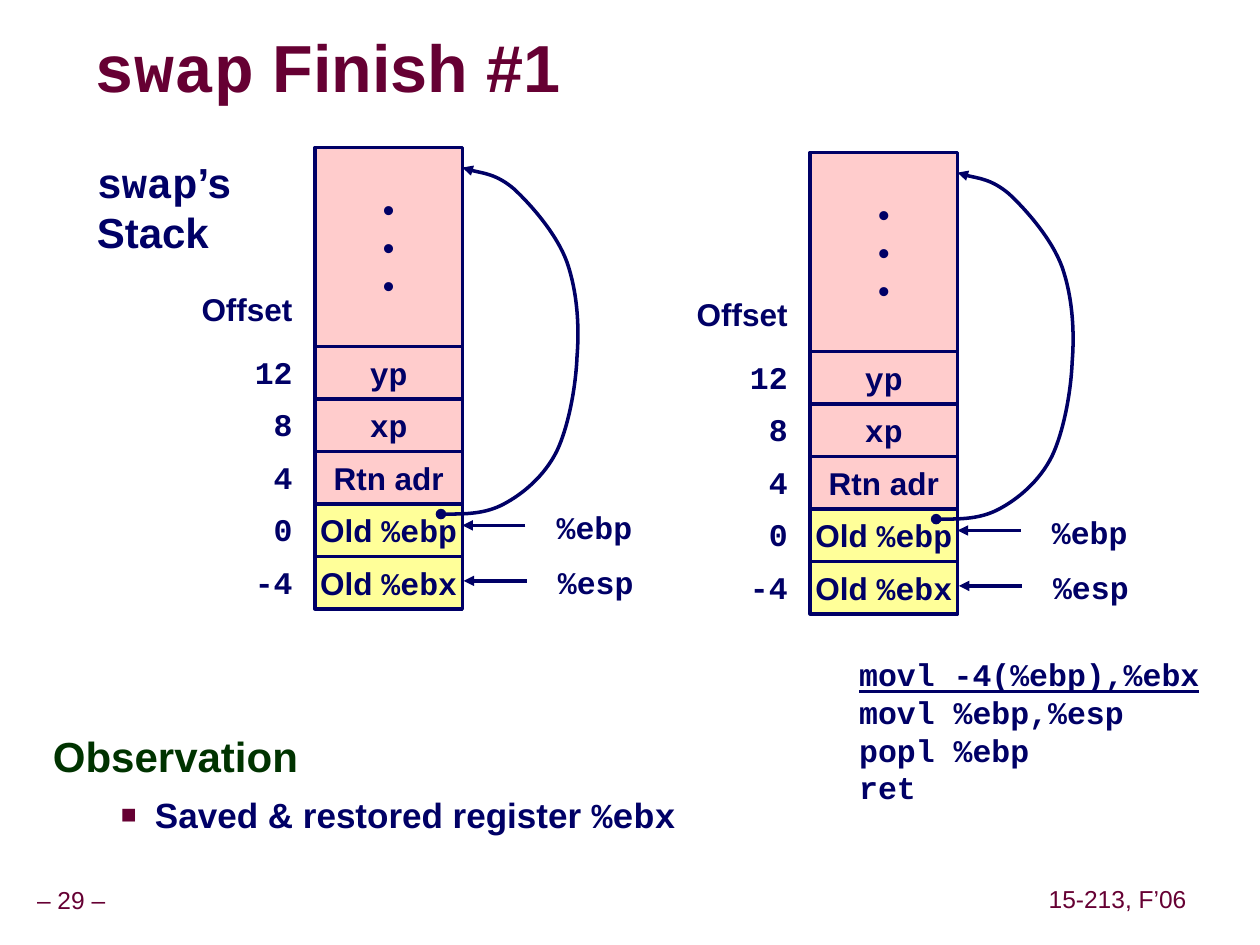
"""Builds the slide on how swap restores its saved registers."""
from lxml.etree import SubElement
from pptx import Presentation
from pptx.dml.color import RGBColor
from pptx.enum.shapes import MSO_CONNECTOR, MSO_SHAPE
from pptx.enum.text import MSO_ANCHOR, MSO_AUTO_SIZE, PP_ALIGN
from pptx.oxml import parse_xml
from pptx.oxml.ns import nsdecls, qn
from pptx.util import Inches, Pt

NAVY, WINE, GREEN = "000066", "660033", "003300"
PINK, YELLOW = "FFCCCC", "FFFF99"
SANS, MONO = "Arial", "Courier New"
ROW = 5 / 12
CELLS = [("`yp`", PINK, "12"), ("`xp`", PINK, "8"), ("Rtn adr", PINK, "4"),
         ("Old `%ebp`", YELLOW, "0"), ("Old `%ebx`", YELLOW, "-4")]
CURVE = [(1, 2.91), (1.17, 2.91), (1.35, 2.91), (1.5, 2.83),
         (1.65, 2.75), (1.82, 2.61), (1.92, 2.41),
         (2.01, 2.22), (2.07, 1.91), (2.08, 1.66),
         (2.1, 1.41), (2.08, 1.14), (2, 0.91),
         (1.92, 0.69), (1.72, 0.46), (1.58, 0.33),
         (1.44, 0.21), (1.24, 0.19), (1.17, 0.16)]
SHADOW = ('<a:effectLst %s><a:outerShdw dist="50800" dir="2700000">'
          '<a:srgbClr val="999999"/></a:outerShdw></a:effectLst>')


def color(code):
    return RGBColor.from_string(code)


class Painter:
    def __init__(self, slide):
        self.slide = slide
        self.shapes = slide.shapes

    def place(self, shape, x, y, w, h):
        shape.left, shape.top = Inches(x), Inches(y)
        shape.width, shape.height = Inches(w), Inches(h)

    def letter(self, para, text, size, ink=NAVY, bold=True, align=PP_ALIGN.LEFT):
        para.alignment = align
        para.font.size, para.font.bold = Pt(size), bold
        para.font.color.rgb = color(ink)
        parts = [(part, MONO if i % 2 else SANS)
                 for i, part in enumerate(text.split("`")) if part]
        faces = {face for _, face in parts}
        if len(faces) == 1:
            para.font.name = faces.pop()
        for part, face in parts:
            run = para.add_run()
            run.text = part
            if len(parts) > 1:
                run.font.name = face

    def lines(self, frame, texts, size, **style):
        for i, text in enumerate(texts):
            para = frame.add_paragraph() if i else frame.paragraphs[0]
            self.letter(para, text, size, **style)

    def label(self, x, y, w, h, texts, size=18, **style):
        box = self.shapes.add_textbox(Inches(x), Inches(y), Inches(w), Inches(h))
        box.text_frame.word_wrap = True
        self.lines(box.text_frame, texts, size, **style)
        return box.text_frame

    def footer(self, x, y, w, text):
        frame = self.label(x, y, w, 0.31, [text], 14, ink=WINE, bold=False,
                           align=PP_ALIGN.CENTER)
        frame.margin_left = frame.margin_right = Inches(0.05)
        frame.vertical_anchor = MSO_ANCHOR.MIDDLE
        frame.paragraphs[0].line_spacing = 0.9

    def cell(self, x, y, h, texts, fill):
        box = self.shapes.add_shape(MSO_SHAPE.RECTANGLE, Inches(x), Inches(y),
                                    Inches(1.17), Inches(h))
        box.shadow.inherit = False
        box.fill.solid()
        box.fill.fore_color.rgb = color(fill)
        self.stroke(box)
        box.text_frame.word_wrap = False
        box.text_frame.vertical_anchor = MSO_ANCHOR.MIDDLE
        self.lines(box.text_frame, texts, 18, align=PP_ALIGN.CENTER)

    def stroke(self, shape, **ends):
        shape.line.color.rgb = color(NAVY)
        shape.line.width = Pt(2)
        edge = shape.element.spPr.find(qn("a:ln"))
        for end, kind in ends.items():
            SubElement(edge, qn("a:" + end), type=kind)

    def arrow(self, x, y, text):
        line = self.shapes.add_connector(MSO_CONNECTOR.STRAIGHT, Inches(x + 0.5),
                                         Inches(y), Inches(x), Inches(y))
        self.stroke(line, tailEnd="triangle")
        SubElement(line.element.spPr, qn("a:effectLst"))
        self.label(x + 0.65, y - 0.19, 0.9, 0.4, [text])

    def curve(self, x, y, points):
        spots = [(Inches(x + a), Inches(y + b)) for a, b in points]
        pen = self.shapes.build_freeform(*spots[0])
        pen.add_line_segments(spots[1:], close=False)
        shape = pen.convert_to_shape()
        shape.shadow.inherit = False
        shape.fill.background()
        self.stroke(shape, headEnd="oval", tailEnd="triangle")
        steps = list(shape.element.iter(qn("a:lnTo")))
        for i in range(0, len(steps), 3):
            bend = SubElement(steps[i].getparent(), qn("a:cubicBezTo"))
            for step in steps[i:i + 3]:
                bend.append(step[0])
                step.getparent().remove(step)

    def stack(self, x, y):
        self.cell(x, y, 1.58, ["•"] * 3, PINK)
        right = PP_ALIGN.RIGHT
        self.label(x - 1.2, y + 1.08, 1.12, 0.4, ["Offset"], align=right)
        for i, (text, fill, shift) in enumerate(CELLS):
            top = y + 1.58 + i * ROW
            self.cell(x, top, ROW, [text], fill)
            self.label(x - 1.2, top, 1.12, 0.4, [f"`{shift}`"], align=right)
        self.arrow(x + 1.17, y + 3, "`%ebp`")
        self.arrow(x + 1.18, y + 3.44, "`%esp`")
        self.curve(x, y, CURVE)

    def title(self, text):
        shape = self.shapes.title
        self.place(shape, 0.75, 0.25, 6.07, 0.63)
        frame = shape.text_frame
        frame.margin_left = frame.margin_right = 0
        frame.margin_top = frame.margin_bottom = 0
        frame.vertical_anchor = MSO_ANCHOR.MIDDLE
        frame.auto_size = MSO_AUTO_SIZE.NONE
        para = frame.paragraphs[0]
        para.line_spacing = 0.87
        self.letter(para, text, 38, ink=WINE)
        for run in para.runs:
            run.font.color.rgb = color(WINE)
            fill = run._r.rPr.find(qn("a:solidFill"))
            fill.addnext(parse_xml(SHADOW % nsdecls("a")))

    def body(self, head, point):
        shape = self.slide.placeholders[1]
        self.place(shape, 0.32, 5.78, 9.09, 1.27)
        frame = shape.text_frame
        frame.auto_size = MSO_AUTO_SIZE.NONE
        first, second = frame.paragraphs[0], frame.add_paragraph()
        first.space_before, first.line_spacing = Pt(0), 0.95
        second.space_before, second.level = Pt(6.2), 1
        props = self.indent(first, 0, 0)
        SubElement(props, qn("a:buNone"))
        props = self.indent(second, 0.81, -0.27)
        tint = SubElement(props, qn("a:buClr"))
        SubElement(tint, qn("a:srgbClr"), val=WINE)
        SubElement(props, qn("a:buSzPct"), val="75000")
        SubElement(props, qn("a:buFont"), typeface=SANS)
        SubElement(props, qn("a:buChar"), char="■")
        self.letter(first, head, 24, ink=GREEN)
        self.letter(second, point, 20)

    def indent(self, para, left, hang):
        props = para._p.get_or_add_pPr()
        props.set("marL", str(Inches(left)))
        props.set("indent", str(Inches(hang)))
        return props


def main():
    deck = Presentation()
    deck.slide_width, deck.slide_height = Inches(10), Inches(7.5)
    art = Painter(deck.slides.add_slide(deck.slide_layouts[1]))
    art.footer(0, 7, 1.13, "– 29 –")
    art.footer(8.27, 6.99, 1.2, "15-213, F’06")
    art.title("`swap` Finish #1")
    code = art.label(6.72, 5.15, 2.92, 1.3,
                     ["`movl -4(%ebp),%ebx`", "`movl %ebp,%esp`",
                      "`popl %ebp`", "`ret`"])
    code.paragraphs[0].font.underline = True
    art.label(0.67, 1.19, 1.6, 0.9, ["`swap`’s", "Stack"], 24)
    art.stack(2.5, 1.17)
    art.stack(6.43, 1.21)
    art.body("Observation", "Saved & restored register `%ebx`")
    deck.save("out.pptx")


if __name__ == "__main__":
    main()
